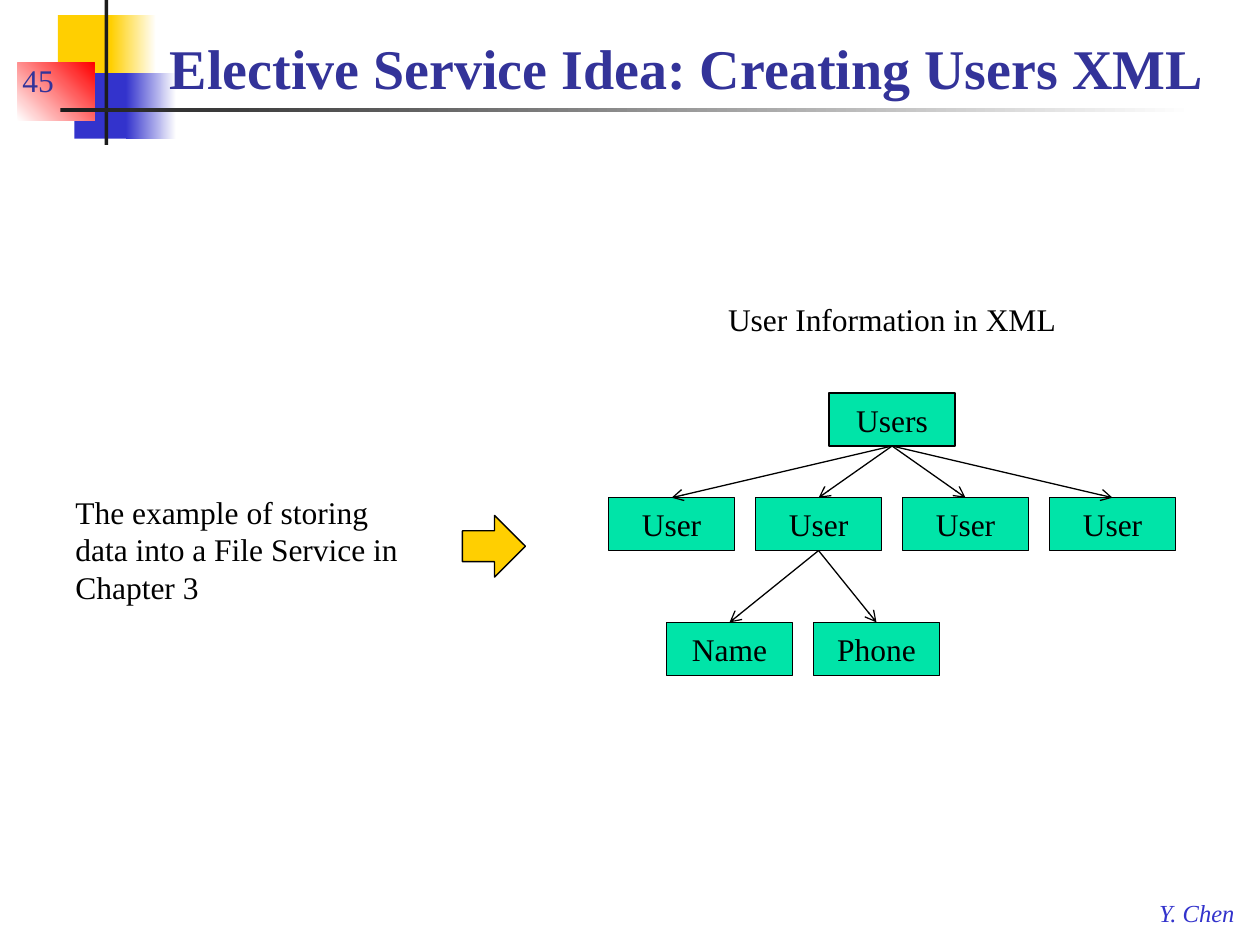
from dataclasses import dataclass

from lxml import etree
from pptx import Presentation
from pptx.dml.color import RGBColor
from pptx.enum import shapes, text
from pptx.oxml import ns
from pptx.util import Inches, Pt

FONT = "Times New Roman"
COLORS = {
    "yellow": "FFCF01",
    "blue": "3333CC",
    "red": "FF0000",
    "dark": "1C1C1C",
    "title": "333399",
    "green": "00E4A8",
    "black": "000000",
    "white": "FFFFFF",
}
NODE_WIDTH, NODE_HEIGHT, NODE_PITCH = 1, 0.42, 3.5 / 3
TOP, BOTTOM = 0, 2


@dataclass
class Block:
    """A borderless rectangle; a second colour makes its fill a gradient."""
    left: float
    top: float
    width: float
    height: float
    color: str
    end_color: str = ""
    angle: float = 0


@dataclass
class Label:
    words: str
    left: float
    top: float
    width: float
    height: float
    size: int = 18
    color: str = "black"
    bold: bool = False
    italic: bool = False
    wrap: bool = True
    anchor: text.MSO_ANCHOR = text.MSO_ANCHOR.TOP


BLOCKS = [
    Block(0.46, 0.12, 0.48, 0.52, "yellow"),
    Block(0.88, 0.12, 0.36, 0.52, "yellow", "white"),
    Block(0.59, 0.58, 0.46, 0.52, "blue"),
    Block(1, 0.58, 0.4, 0.52, "blue", "white"),
    Block(0.14, 0.5, 0.61, 0.46, "white", "red", 45),
    Block(0.83, 0, 0.03, 1.15, "dark"),
    Block(0.48, 0.86, 9, 0.03, "dark", "white"),
]
LABELS = [
    Label("Y. Chen", 9.1, 7.08, 0.82, 0.33, 14, "blue", italic=True, wrap=False),
    Label("Elective Service Idea: Creating Users XML", 1.25, 0.17, 8.67, 0.68,
          32, "title", bold=True, anchor=text.MSO_ANCHOR.BOTTOM),
    Label("45", 0.08, 0.33, 2.08, 0.5, color="title", anchor=text.MSO_ANCHOR.BOTTOM),
    Label("User Information in XML", 5.68, 2.33, 2.83, 0.4, wrap=False),
    Label("The example of storing data into a File Service in Chapter 3",
          0.5, 3.86, 2.83, 1.01),
]


def rgb(name: str) -> RGBColor:
    return RGBColor.from_string(COLORS[name])


def add_block(slide, block: Block) -> None:
    shape = slide.shapes.add_shape(
        shapes.MSO_SHAPE.RECTANGLE, Inches(block.left), Inches(block.top),
        Inches(block.width), Inches(block.height))
    shape.shadow.inherit = False
    shape.line.fill.background()
    if block.end_color:
        shape.fill.gradient()
        shape.fill.gradient_angle = block.angle
        for stop, color in zip(shape.fill.gradient_stops, (block.color, block.end_color)):
            stop.color.rgb = rgb(color)
    else:
        shape.fill.solid()
        shape.fill.fore_color.rgb = rgb(block.color)


def add_label(slide, label: Label) -> None:
    box = slide.shapes.add_textbox(
        Inches(label.left), Inches(label.top), Inches(label.width), Inches(label.height))
    frame = box.text_frame
    frame.word_wrap = label.wrap
    frame.vertical_anchor = label.anchor
    paragraph = frame.paragraphs[0]
    paragraph.text = label.words
    font = paragraph.font
    font.name, font.size = FONT, Pt(label.size)
    font.bold, font.italic = label.bold, label.italic
    font.color.rgb = rgb(label.color)


def add_outlined_shape(slide, preset: shapes.MSO_SHAPE, left: float, top: float,
                       width: float, height: float, color: str):
    shape = slide.shapes.add_shape(
        preset, Inches(left), Inches(top), Inches(width), Inches(height))
    shape.shadow.inherit = False
    shape.fill.solid()
    shape.fill.fore_color.rgb = rgb(color)
    shape.line.color.rgb = rgb("black")
    shape.line.width = Pt(0.75)
    return shape


def add_node_row(slide, names: list[str], left: float, top: float) -> list:
    """Draw one level of the XML tree and return its boxes."""
    nodes = []
    for column, name in enumerate(names):
        node = add_outlined_shape(
            slide, shapes.MSO_SHAPE.RECTANGLE, left + column * NODE_PITCH, top,
            NODE_WIDTH, NODE_HEIGHT, "green")
        node.text_frame.vertical_anchor = text.MSO_ANCHOR.MIDDLE
        paragraph = node.text_frame.paragraphs[0]
        paragraph.text = name
        paragraph.alignment = text.PP_ALIGN.CENTER
        paragraph.font.name, paragraph.font.size = FONT, Pt(18)
        paragraph.font.color.rgb = rgb("black")
        nodes.append(node)
    return nodes


def add_arrows(slide, parent, children: list) -> None:
    for child in children:
        arrow = slide.shapes.add_connector(shapes.MSO_CONNECTOR.STRAIGHT, 0, 0, 0, 0)
        arrow.begin_connect(parent, BOTTOM)
        arrow.end_connect(child, TOP)
        arrow.line.color.rgb = rgb("black")
        arrow.line.width = Pt(0.75)
        etree.SubElement(arrow.line._get_or_add_ln(), ns.qn("a:tailEnd"), type="arrow")
        etree.SubElement(arrow._element.spPr, ns.qn("a:effectLst"))


def main() -> None:
    presentation = Presentation()
    presentation.slide_width, presentation.slide_height = Inches(10), Inches(7.5)
    slide = presentation.slides.add_slide(presentation.slide_layouts[6])

    for block in BLOCKS:
        add_block(slide, block)
    for label in LABELS:
        add_label(slide, label)

    root = add_node_row(slide, ["Users"], 6.58, 3.12)[0]
    users = add_node_row(slide, ["User"] * 4, 4.83, 3.95)
    fields = add_node_row(slide, ["Name", "Phone"], 5.29, 4.94)
    add_arrows(slide, root, users)
    add_arrows(slide, users[1], fields)
    add_outlined_shape(
        slide, shapes.MSO_SHAPE.RIGHT_ARROW, 3.67, 4.09, 0.5, 0.49, "yellow")

    presentation.save("out.pptx")


if __name__ == "__main__":
    main()
